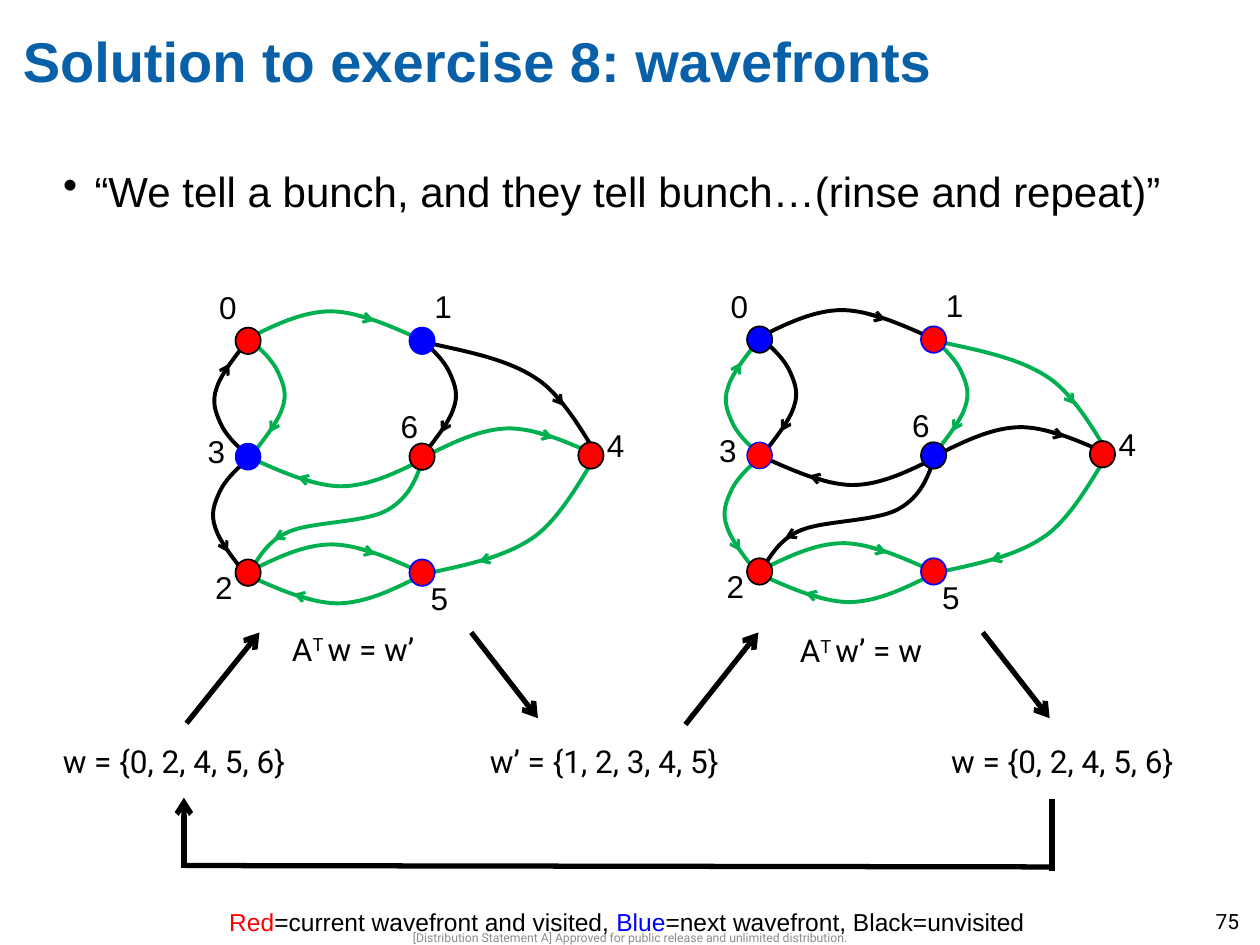
import pptx
import pptx.dml.color
import pptx.enum.shapes
import pptx.enum.text
import pptx.oxml
import pptx.oxml.ns
import pptx.util

Pt = pptx.util.Pt
RGB = pptx.dml.color.RGBColor
ALIGN = pptx.enum.text.PP_ALIGN
ANCHOR = pptx.enum.text.MSO_ANCHOR
qn = pptx.oxml.ns.qn

BLACK = RGB(0x00, 0x00, 0x00)
RED = RGB(0xFF, 0x00, 0x00)
BLUE = RGB(0x00, 0x00, 0xFF)
GREEN = RGB(0x00, 0xB0, 0x50)
TITLE_BLUE = RGB(0x08, 0x60, 0xA8)
GREY = RGB(0x8C, 0x8C, 0x8C)

ARC = [(15.8, -7.9), (31.7, -15.8), (48.2, -15.8),
       (64.8, -15.3), (82.4, -7.2), (100.1, 0.7)]
BOW = [(6.5, 5.8), (12.2, 11.5), (15.1, 18), (18, 24.5), (20.2, 30.2),
       (17.3, 38.2), (15.1, 45.4), (7.9, 54.7), (0, 64.8)]
SWEEP = [(-5.8, 7.9), (-19.4, 34.9), (-36, 45.7),
         (-52.6, 56.9), (-75.6, 61.2), (-98.6, 66.2)]
WIND = [(3.6, -3.6), (8.6, -16.6), (22.3, -22.3), (35.3, -28.1), (65.5, -27.4),
        (78.5, -34.6), (91.4, -41.8), (95.8, -53.3), (99.4, -65.5)]
ARC_HEAD = [(61.9, -13.7), (72.7, -10.4)]
BOW_HEAD = [(15.8, 42), (10.1, 52.1)]
SWEEP_HEAD = [(-55.4, 55.4), (-66.2, 59)]
SWEEP_BACK_HEAD = [(-27.4, 38.9), (-20.9, 30.2)]
WIND_HEAD = [(23.8, -23), (13.7, -18)]

# source node, start of curve, mirroring, curve, arrowhead
EDGES = [
    (3, (141.1, 259.9), (-1, -1), BOW, BOW_HEAD),
    (0, (144, 195.1), (1, 1), BOW, BOW_HEAD),
    (0, (141.1, 193.7), (1, 1), ARC, ARC_HEAD),
    (6, (142.6, 326.2), (1, 1), WIND, WIND_HEAD),
    (6, (243.4, 260.6), (1, 1), ARC, ARC_HEAD),
    (2, (141.8, 326.9), (1, 1), ARC, ARC_HEAD),
    (5, (240.5, 329), (-1, -1), ARC, ARC_HEAD),
    (6, (242.6, 262.1), (-1, -1), ARC, ARC_HEAD),
    (3, (140.4, 263.5), (-1, 1), BOW, BOW_HEAD),
    (1, (241.9, 195.1), (1, 1), BOW, BOW_HEAD),
    (4, (339.8, 262.1), (1, 1), SWEEP, SWEEP_HEAD),
    (1, (342.7, 262.1), (1, -1), SWEEP, SWEEP_BACK_HEAD),
]
NODES = {
    0: ((134.6, 187.2), (118.1, 161.3), BLACK),
    1: ((234, 187.2), (241.2, 160.6), BLUE),
    2: ((134.6, 319.7), (115.9, 321.1), BLACK),
    3: ((134.6, 253.4), (111.6, 243.4), BLUE),
    4: ((330.5, 252.7), (339.8, 239.8), BLACK),
    5: ((234, 319.7), (239, 327.6), BLUE),
    6: ((234, 253.4), (221.8, 229), BLACK),
}


def add_text(shapes, text, left, top, width, height, size=18, font="Arial",
             color=BLACK, bold=False, align=ALIGN.LEFT, anchor=ANCHOR.TOP,
             inset=True, wrap=True, bullet=False):
    box = shapes.add_textbox(Pt(left), Pt(top), Pt(width), Pt(height))
    frame = box.text_frame
    frame.word_wrap = wrap
    frame.vertical_anchor = anchor
    if not inset:
        frame.margin_left = frame.margin_right = 0
        frame.margin_top = frame.margin_bottom = 0
    para = frame.paragraphs[0]
    para.alignment = align
    if bullet:
        properties = para._p.get_or_add_pPr()
        properties.set("marL", str(Pt(18)))
        properties.set("indent", str(Pt(-18)))
        mark = pptx.oxml.parse_xml(f'<a:buChar {pptx.oxml.ns.nsdecls("a")} char="•"/>')
        properties.append(mark)
    pieces = [(text, {})] if isinstance(text, str) else text
    for words, extra in pieces:
        span = para.add_run()
        span.text = words
        span.font.size = Pt(size)
        span.font.name = font
        span.font.bold = bold
        span.font.color.rgb = extra.get("color", color)
        if extra.get("raised"):
            span._r.get_or_add_rPr().set("baseline", "30000")
    return box


def add_line(shapes, start, end, color=BLACK, weight=3, arrow=True):
    line = shapes.add_connector(pptx.enum.shapes.MSO_CONNECTOR.STRAIGHT,
                                Pt(start[0]), Pt(start[1]), Pt(end[0]), Pt(end[1]))
    line.line.color.rgb = color
    line.line.width = Pt(weight)
    if arrow:
        head = pptx.oxml.parse_xml(f'<a:tailEnd {pptx.oxml.ns.nsdecls("a")} type="arrow"/>')
        line.line._get_or_add_ln().append(head)
    effects = pptx.oxml.parse_xml(f'<a:effectLst {pptx.oxml.ns.nsdecls("a")}/>')
    line._element.spPr.append(effects)


def add_curve(shapes, start, points, color):
    builder = shapes.build_freeform(Pt(start[0]), Pt(start[1]))
    builder.add_line_segments([(Pt(x), Pt(y)) for x, y in points], close=False)
    curve = builder.convert_to_shape()
    steps = list(curve._element.iter(qn("a:lnTo")))
    for first in range(0, len(steps), 3):
        trio = steps[first:first + 3]
        bezier = pptx.oxml.parse_xml(f'<a:cubicBezTo {pptx.oxml.ns.nsdecls("a")}/>')
        trio[0].addprevious(bezier)
        for step in trio:
            bezier.append(step[0])
            step.getparent().remove(step)
    curve.shadow.inherit = False
    curve.fill.background()
    curve.line.color.rgb = color
    curve.line.width = Pt(2.25)


def add_node(shapes, left, top, fill, outline, weight):
    node = shapes.add_shape(pptx.enum.shapes.MSO_SHAPE.OVAL,
                            Pt(left), Pt(top), Pt(14.4), Pt(15.1))
    node.shadow.inherit = False
    node.fill.solid()
    node.fill.fore_color.rgb = fill
    node.line.color.rgb = outline
    node.line.width = Pt(weight)


def add_graph(page, dx, dy, wavefront):
    shapes = page.shapes.add_group_shape().shapes
    for source, (x, y), (flip_x, flip_y), curve, head in EDGES:
        color = GREEN if source in wavefront else BLACK
        x, y = x + dx, y + dy
        tail, tip = [(x + flip_x * a, y + flip_y * b) for a, b in head]
        add_line(shapes, tail, tip, color, 1.75)
        add_curve(shapes, (x, y),
                  [(x + flip_x * a, y + flip_y * b) for a, b in curve], color)
    for number, ((left, top), label, outline) in NODES.items():
        fill = RED if number in wavefront else BLUE
        add_node(shapes, left + dx, top + dy, fill, outline, 0.75 if number == 3 else 1)
        add_text(shapes, str(number), label[0] + dx, label[1] + dy, 24.5, 28.8, wrap=False)


def main():
    deck = pptx.Presentation()
    deck.slide_width, deck.slide_height = Pt(720), Pt(540)
    page = deck.slides.add_slide(deck.slide_layouts[6])
    shapes = page.shapes
    add_text(shapes, "[Distribution Statement A] Approved for public release and unlimited distribution.",
             205.9, 531.4, 308.2, 8.6, size=7, font="Roboto", color=GREY,
             align=ALIGN.CENTER, anchor=ANCHOR.MIDDLE, inset=False)
    add_text(shapes, "Solution to exercise 8: wavefronts", 13, 15.1, 648.7, 69.8,
             size=32, color=TITLE_BLUE, bold=True, inset=False)
    add_text(shapes, "“We tell a bunch, and they tell bunch…(rinse and repeat)”",
             36, 94.3, 648.7, 51.8, size=24, inset=False, bullet=True)
    add_text(shapes, "75", 687.6, 515.5, 32.4, 23.8, size=12, font="Roboto")

    add_graph(page, 0, 0, {0, 2, 4, 5, 6})
    add_graph(page, 292.3, -0.7, {1, 2, 3, 4, 5})

    for words, left, width in [("w = {0, 2, 4, 5, 6}", 28.8, 164.9),
                               ("w’ = {1, 2, 3, 4, 5}", 272.9, 174.2),
                               ("w = {0, 2, 4, 5, 6}", 536.4, 164.9)]:
        add_text(shapes, words, left, 420.5, width, 28.8, font="Roboto", wrap=False)
    for start, end in [((106.6, 413.3), (148.3, 361.4)), ((391.7, 414), (433.4, 361.4)),
                       ((269.3, 361.4), (307.4, 410.4)), ((561.6, 361.4), (599.8, 410.4)),
                       ((105.1, 496.1), (105.1, 455.8))]:
        add_line(shapes, start, end)
    add_line(shapes, (601.2, 456.5), (601.2, 497.5), arrow=False)
    add_line(shapes, (601.2, 495.4), (105.8, 494.6), arrow=False)

    add_text(shapes, [("Red", {"color": RED}), ("=current wavefront and visited, ", {}),
                      ("Blue", {"color": BLUE}), ("=next wavefront, Black=unvisited", {})],
             131, 518.4, 514.1, 18, size=14, inset=False)
    for product, left, top in [("w = w’", 159.8, 356.4), ("w’ = w", 450, 357.1)]:
        add_text(shapes, [("A", {}), ("T ", {"raised": True}), (product, {})],
                 left, top, 103.7, 28.8, font="Roboto")
    deck.save("out.pptx")


if __name__ == "__main__":
    main()
